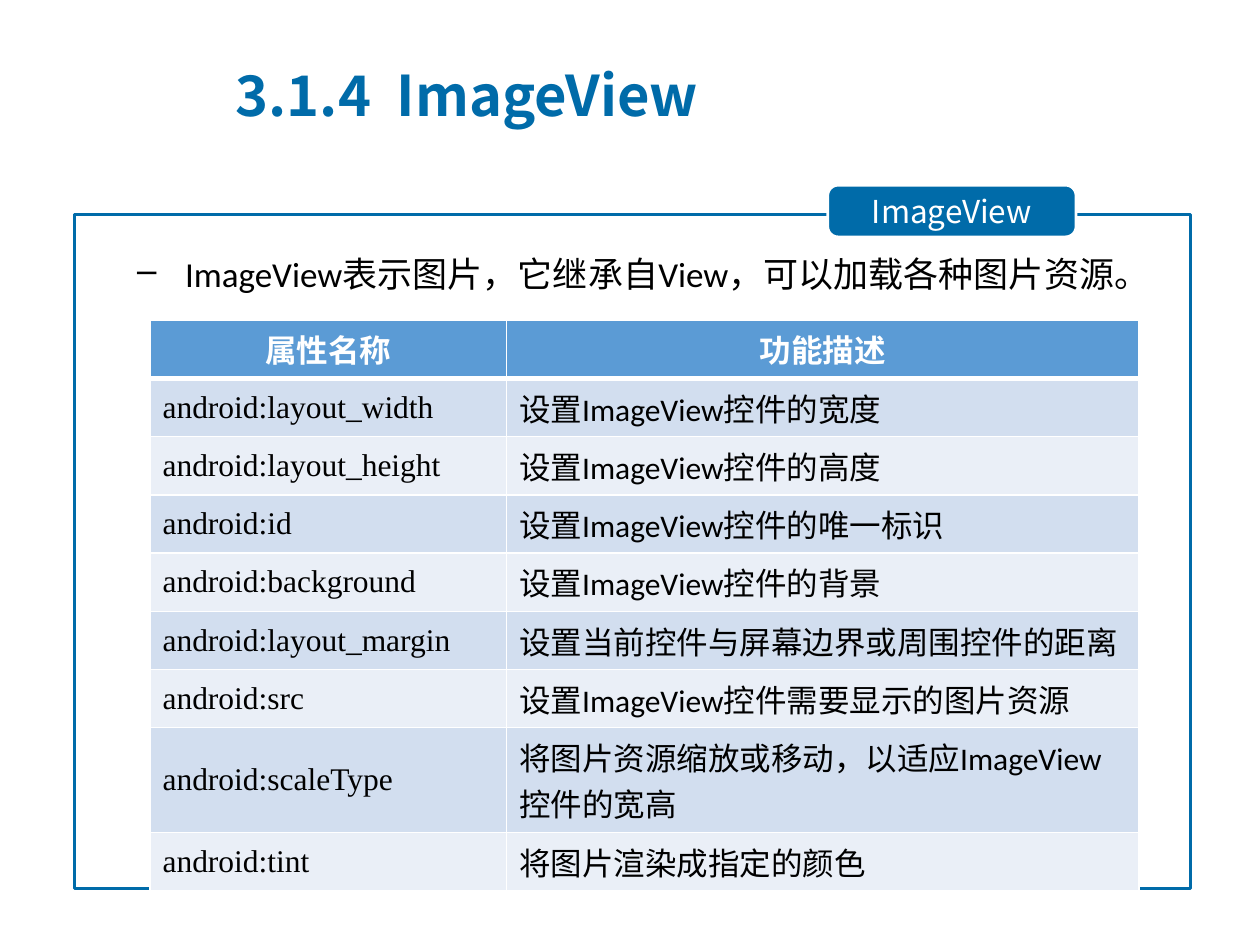
from lxml import etree
from pptx import Presentation
from pptx.dml.color import RGBColor
from pptx.enum.shapes import MSO_SHAPE
from pptx.enum.text import MSO_ANCHOR, PP_ALIGN
from pptx.oxml.ns import qn
from pptx.util import Inches, Pt

LEFT, CENTER, JUSTIFY = PP_ALIGN.LEFT, PP_ALIGN.CENTER, PP_ALIGN.JUSTIFY
MIDDLE, TOP = MSO_ANCHOR.MIDDLE, MSO_ANCHOR.TOP
RECTANGLE, ROUNDED = MSO_SHAPE.RECTANGLE, MSO_SHAPE.ROUNDED_RECTANGLE

BLUE = RGBColor(0x00, 0x6B, 0xA9)
WHITE = RGBColor(0xFF, 0xFF, 0xFF)
BLACK = RGBColor(0x00, 0x00, 0x00)
HEADER_FILL = RGBColor(0x5B, 0x9B, 0xD5)
BAND_FILLS = (RGBColor(0xD2, 0xDE, 0xEF), RGBColor(0xEA, 0xEF, 0xF7))

SANS, CJK, SERIF = "Calibri", "Noto Sans CJK SC", "Times New Roman"

HEADER = ("属性名称", "功能描述")
ATTRIBUTES = [
    ("android:layout_width", "设置ImageView控件的宽度"),
    ("android:layout_height", "设置ImageView控件的高度"),
    ("android:id", "设置ImageView控件的唯一标识"),
    ("android:background", "设置ImageView控件的背景"),
    ("android:layout_margin", "设置当前控件与屏幕边界或周围控件的距离"),
    ("android:src", "设置ImageView控件需要显示的图片资源"),
    ("android:scaleType", "将图片资源缩放或移动，以适应ImageView控件的宽高"),
    ("android:tint", "将图片渲染成指定的颜色"),
]
TWO_LINE_ATTRIBUTE = "android:scaleType"
TWO_LINE_HEIGHT = Inches(0.83)


def write(frame, text, size=18, font=SANS, color=BLACK, bold=False, align=LEFT):
    """Set the only paragraph of a text frame and return it."""
    paragraph = frame.paragraphs[0]
    paragraph.alignment = align
    run = paragraph.add_run()
    run.text = text
    run.font.size = Pt(size)
    run.font.name = font
    run.font.bold = bold
    run.font.color.rgb = color
    east_asian = etree.SubElement(run.font._element, qn("a:ea"))
    east_asian.set("typeface", CJK)
    return paragraph


def place_title(slide, left, top, width, height):
    title = slide.shapes.title
    title.left, title.top, title.width, title.height = left, top, width, height
    title.text_frame.vertical_anchor = MIDDLE
    write(title.text_frame, "3.1.4  ImageView", size=32, font=CJK,
          color=BLUE, bold=True)


def add_outlined(slide, preset, box, line_color):
    shape = slide.shapes.add_shape(preset, *box)
    shape.shadow.inherit = False
    shape.line.color.rgb = line_color
    shape.line.width = Pt(1.5)
    return shape


def add_frame(slide, *box):
    add_outlined(slide, RECTANGLE, box, BLUE).fill.background()


def add_badge(slide, *box):
    badge = add_outlined(slide, ROUNDED, box, WHITE)
    badge.adjustments[0] = 0.2
    badge.fill.solid()
    badge.fill.fore_color.rgb = BLUE
    frame = badge.text_frame
    frame.vertical_anchor = MIDDLE
    frame.margin_top = frame.margin_bottom = Inches(0.06)
    write(frame, "ImageView", font=CJK, color=WHITE, align=CENTER)


def add_summary(slide, *box):
    frame = slide.shapes.add_textbox(*box).text_frame
    frame.word_wrap = True
    paragraph = write(frame, "ImageView表示图片，它继承自View，可以加载各种图片资源。",
                      size=20)
    paragraph.line_spacing = 1.5
    paragraph.space_before = Pt(4)
    properties = paragraph._p.get_or_add_pPr()
    properties.set("marL", str(Inches(0.88)))
    properties.set("indent", str(-Inches(0.38)))
    etree.SubElement(properties, qn("a:buChar")).set("char", "–")


def style_cell(cell, fill, bottom_width=1, top_width=1):
    """Fill a cell and give it white borders; widths are in points."""
    properties = cell._tc.get_or_add_tcPr()
    widths = {"a:lnL": 1, "a:lnR": 1, "a:lnT": top_width, "a:lnB": bottom_width}
    for side, width in widths.items():
        line = etree.SubElement(properties, qn(side), w=str(Pt(width)))
        solid = etree.SubElement(line, qn("a:solidFill"))
        etree.SubElement(solid, qn("a:srgbClr"), val=str(WHITE))
    cell.fill.solid()
    cell.fill.fore_color.rgb = fill


def add_attribute_table(slide, left, top, width, height):
    table = slide.shapes.add_table(len(ATTRIBUTES) + 1, len(HEADER),
                                   left, top, width, height).table
    table.columns[0].width = Inches(2.83)
    table.columns[1].width = width - Inches(2.83)
    line_height = (height - TWO_LINE_HEIGHT) // len(ATTRIBUTES)

    table.rows[0].height = line_height
    for cell, label in zip(table.rows[0].cells, HEADER):
        style_cell(cell, HEADER_FILL, bottom_width=3)
        cell.vertical_anchor = MIDDLE if label == HEADER[0] else TOP
        write(cell.text_frame, label, color=WHITE, bold=True, align=CENTER)

    for index, (attribute, description) in enumerate(ATTRIBUTES):
        row = table.rows[index + 1]
        row.height = (TWO_LINE_HEIGHT if attribute == TWO_LINE_ATTRIBUTE
                      else line_height)
        name_cell, description_cell = row.cells
        for cell in (name_cell, description_cell):
            style_cell(cell, BAND_FILLS[index % 2],
                       top_width=3 if index == 0 else 1)
        name_cell.vertical_anchor = MIDDLE
        write(name_cell.text_frame, attribute, font=SERIF)
        write(description_cell.text_frame, description,
              align=JUSTIFY if attribute == "android:background" else LEFT)


def main():
    presentation = Presentation()
    presentation.slide_width = Inches(10)
    presentation.slide_height = Inches(7.5)
    slide = presentation.slides.add_slide(presentation.slide_layouts[5])
    add_frame(slide, Inches(0.59), Inches(1.7), Inches(8.86), Inches(5.35))
    add_badge(slide, Inches(6.57), Inches(1.47), Inches(1.97), Inches(0.41))
    add_summary(slide, Inches(0.49), Inches(1.79), Inches(8.72), Inches(1.72))
    place_title(slide, Inches(1.77), Inches(0.44), Inches(7.72), Inches(0.61))
    add_attribute_table(slide, Inches(1.19), Inches(2.54), Inches(7.85),
                        Inches(4.53))
    presentation.save("out.pptx")


if __name__ == "__main__":
    main()
